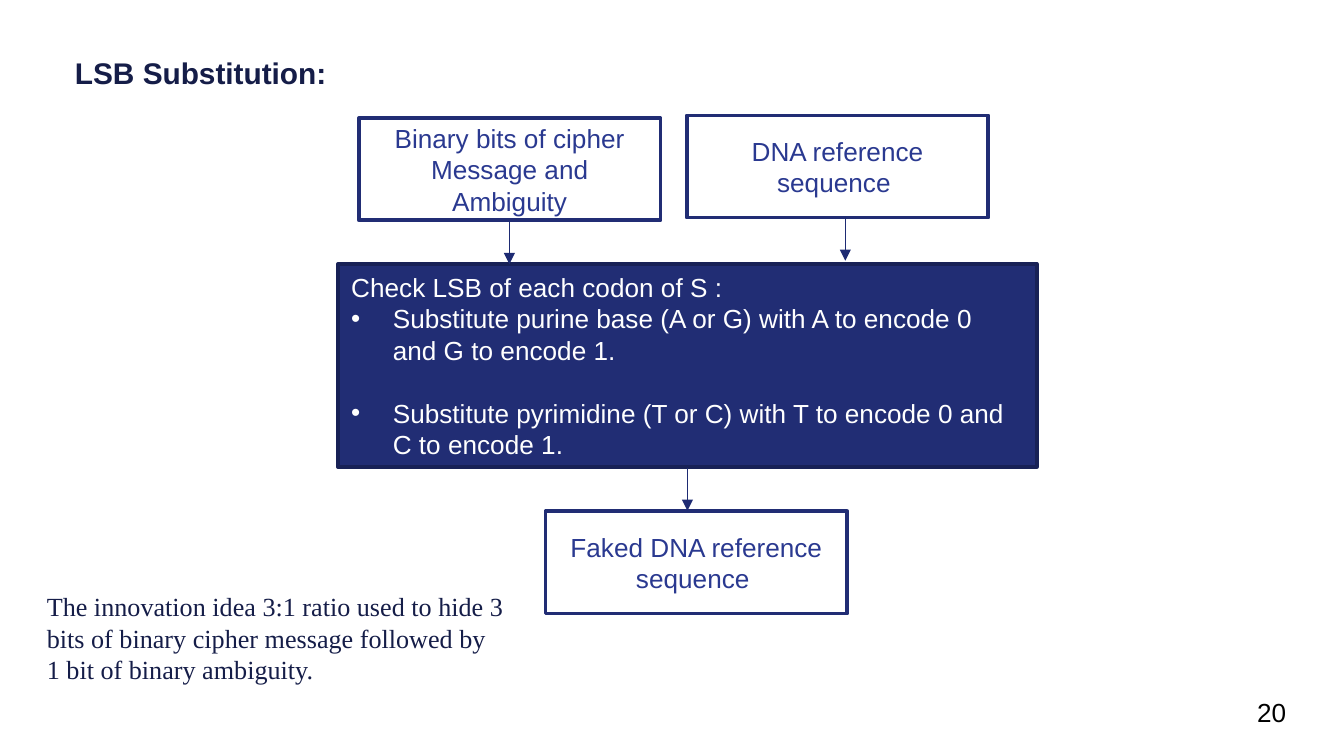
from lxml.etree import SubElement
from pptx import Presentation
from pptx.dml.color import RGBColor
from pptx.enum.shapes import MSO_CONNECTOR as CONN, MSO_SHAPE as SHAPE
from pptx.enum.text import MSO_ANCHOR as ANCHOR, PP_ALIGN as ALIGN
from pptx.oxml.ns import qn
from pptx.util import Emu, Pt

PX = 4572
NAVY, DARK, INK, BLUE = "212D74", "182156", "151D48", "2A3990"
ARROW = "1E2B73"
BOX_W, BOX_H = 449, 152
ARROW_LEN = 64


def px(n):
    return Emu(n * PX)


def rgb(value):
    return RGBColor.from_string(value)


def write(tf, lines, color, size=14, font="Arial", bold=False, align=ALIGN.LEFT):
    tf.word_wrap = True
    tf.text = "\n".join(lines)
    for p in tf.paragraphs:
        p.alignment = align
        for r in p.runs:
            r.font.name = font
            r.font.size = Pt(size)
            r.font.bold = bold
            r.font.color.rgb = rgb(color)


def add_bullet(p):
    pPr = p._p.get_or_add_pPr()
    pPr.set("marL", str(px(62)))
    pPr.set("indent", str(px(-62)))
    SubElement(pPr, qn("a:buFont"), typeface="Arial")
    SubElement(pPr, qn("a:buChar"), char="•")


def add_label(s, x, y, w, h, text, color, **style):
    tf = s.shapes.add_textbox(px(x), px(y), px(w), px(h)).text_frame
    write(tf, [text], color, **style)
    return tf


def add_box(s, x, y, w, h, lines, fill, line, color, align):
    sp = s.shapes.add_shape(SHAPE.RECTANGLE, px(x), px(y), px(w), px(h))
    sp.shadow.inherit = False
    sp.fill.solid()
    sp.fill.fore_color.rgb = rgb(fill)
    sp.line.color.rgb = rgb(line)
    sp.line.width = Pt(2)
    tf = sp.text_frame
    tf.vertical_anchor = ANCHOR.MIDDLE
    write(tf, lines, color, align=align)
    return tf


def add_data_box(s, x, y, text):
    add_box(s, x, y, BOX_W, BOX_H, [text], "FFFFFF", NAVY, BLUE, ALIGN.CENTER)


def add_process_box(s, x, y, w, h, heading, steps):
    tf = add_box(s, x, y, w, h, [heading, *steps], NAVY, DARK, "FFFFFF", ALIGN.LEFT)
    bullets = tf.paragraphs[1:]
    for p in bullets[1:]:
        p.space_before = Pt(17)
    for p in bullets:
        add_bullet(p)


def add_arrow(s, x, y):
    cn = s.shapes.add_connector(CONN.STRAIGHT, px(x), px(y), px(x), px(y + ARROW_LEN))
    cn.line.color.rgb = rgb(ARROW)
    cn.line.width = Pt(0.75)
    SubElement(cn.line._get_or_add_ln(), qn("a:tailEnd"), type="triangle")
    SubElement(cn._element.spPr, qn("a:effectLst"))


def main():
    prs = Presentation()
    prs.slide_width, prs.slide_height = px(2000), px(1125)
    s = prs.slides.add_slide(prs.slide_layouts[6])

    number = add_label(s, 1851, 1017, 120, 86, "20", "000000")
    number.vertical_anchor = ANCHOR.MIDDLE

    add_process_box(s, 503, 393, 1040, 302, "Check LSB of each codon of S :", [
        "Substitute purine base (A or G) with A to encode 0 and G to encode 1.",
        "Substitute pyrimidine (T or C) with T to encode 0 and C to encode 1.",
    ])
    for x, y, text in [
        (534, 176, "Binary bits of cipher Message and Ambiguity"),
        (1022, 172, "DNA reference sequence "),
        (812, 761, "Faked DNA reference sequence "),
    ]:
        add_data_box(s, x, y, text)
    for x, y in [(758, 329), (1258, 324), (1023, 696)]:
        add_arrow(s, x, y)

    add_label(s, 92, 72, 640, 74, "LSB Substitution:", INK, size=16, bold=True)
    add_label(s, 50, 869, 722, 162,
              "The innovation idea 3:1 ratio used to hide 3 bits of binary cipher "
              "message followed by 1 bit of binary ambiguity.",
              INK, font="Times New Roman")
    prs.save("out.pptx")


if __name__ == "__main__":
    main()
